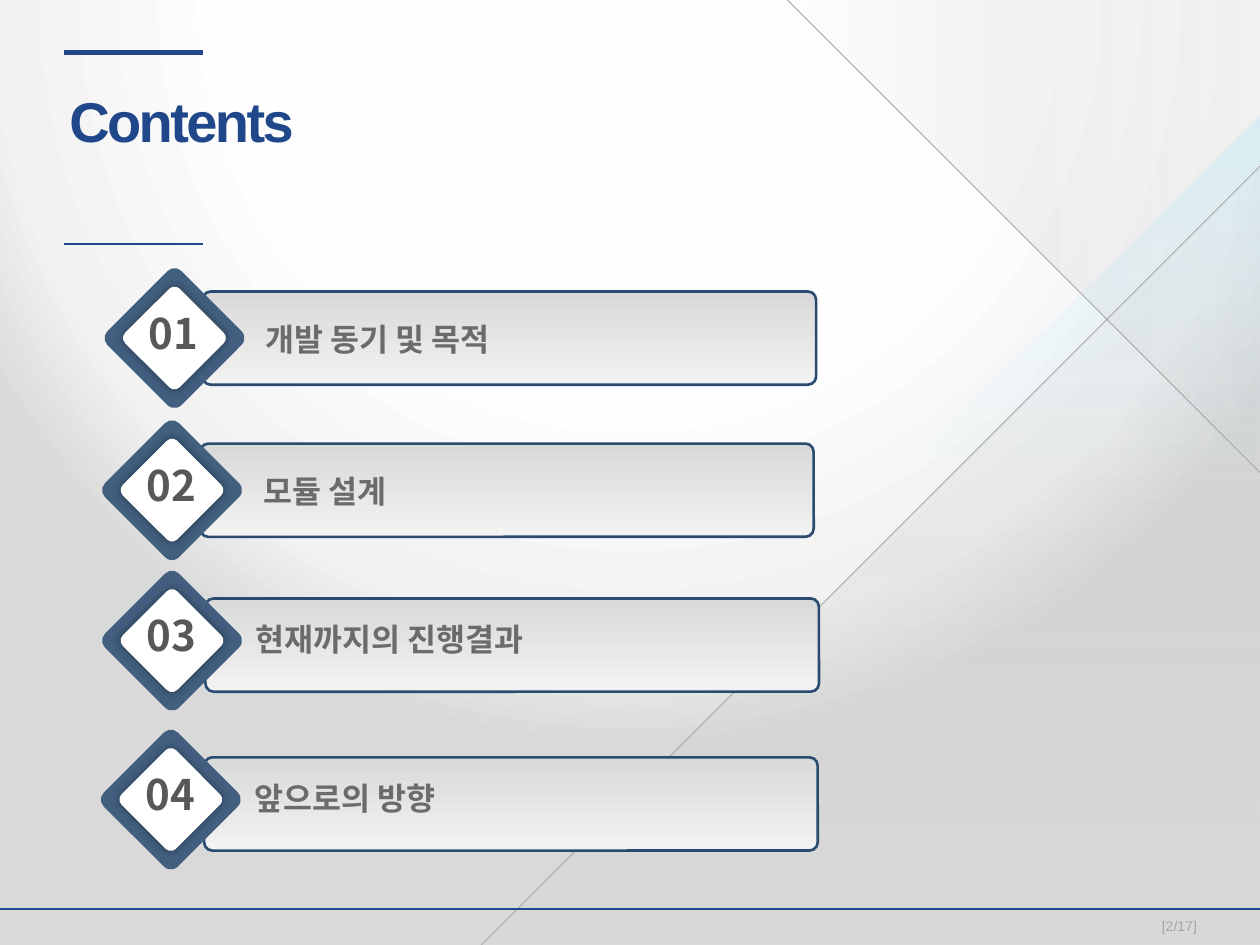
from lxml import etree
from pptx import Presentation
from pptx.dml.color import RGBColor
from pptx.enum.shapes import MSO_CONNECTOR, MSO_SHAPE
from pptx.enum.text import MSO_ANCHOR, MSO_AUTO_SIZE, PP_ALIGN
from pptx.oxml import parse_xml
from pptx.oxml.ns import nsdecls, qn
from pptx.util import Pt

WIDTH, HEIGHT = 720, 540
NAVY, GREY = "1F4789", "A6A6A6"
KOREAN = "Noto Sans CJK KR"


def color(hex_string):
    return RGBColor.from_string(hex_string)


def points(*lengths):
    return [Pt(length) for length in lengths]


def set_gradient(fill, element, stops, direction):
    """Stops are (position %, colour, opacity %); direction is an XML element."""
    fill.gradient()
    gradient = next(element.iter(qn("a:gradFill")))
    stop_xml = "".join(
        f'<a:gs pos="{position * 1000}"><a:srgbClr val="{hex_string}">'
        f'<a:alpha val="{opacity * 1000}"/></a:srgbClr></a:gs>'
        for position, hex_string, opacity in stops)
    gradient.getparent().replace(gradient, parse_xml(
        f'<a:gradFill {nsdecls("a")} rotWithShape="1"><a:gsLst>{stop_xml}</a:gsLst>'
        f'{direction}</a:gradFill>'))


def linear(degrees):
    return f'<a:lin ang="{degrees * 60000}" scaled="0"/>'


def add_line(slide, start, end, hex_string, width):
    line = slide.shapes.add_connector(
        MSO_CONNECTOR.STRAIGHT, *points(*start, *end))
    line.line.color.rgb = color(hex_string)
    line.line.width = Pt(width)
    etree.SubElement(line.element.spPr, qn("a:effectLst"))


def add_plain_shape(shapes, kind, box, rotation=0, fill=None, corner=None):
    shape = shapes.add_shape(kind, *points(*box))
    shape.rotation = rotation
    shape.shadow.inherit = False
    shape.line.fill.background()
    if fill:
        shape.fill.solid()
        shape.fill.fore_color.rgb = color(fill)
    else:
        shape.fill.background()
    if corner:
        shape.adjustments[0] = corner
    return shape


def set_text(shape, text, size, hex_string, font_name="Arial", bold=False,
             align=PP_ALIGN.LEFT, insets=(0, 0, 0, 0), wrap=True):
    frame = shape.text_frame
    frame.word_wrap = wrap
    frame.auto_size = MSO_AUTO_SIZE.NONE
    frame.vertical_anchor = MSO_ANCHOR.MIDDLE
    (frame.margin_left, frame.margin_top,
     frame.margin_right, frame.margin_bottom) = points(*insets)
    paragraph = frame.paragraphs[0]
    paragraph.text = text
    paragraph.alignment = align
    font = paragraph.font
    font.name, font.size, font.bold = font_name, Pt(size), bold
    font.color.rgb = color(hex_string)
    properties = next(paragraph._p.iter(qn("a:defRPr")))
    etree.SubElement(properties, qn("a:ea"), typeface=KOREAN)
    return properties


def add_backdrop(slide, width, height):
    set_gradient(
        slide.background.fill, slide.element,
        [(0, "FFFFFF", 100), (50, "FEFEFE", 100), (80, "F2F2F2", 100),
         (95, "D9D9D9", 100)],
        '<a:path path="circle"><a:fillToRect l="50000" t="-80000" '
        'r="50000" b="180000"/></a:path>')

    # Tinted corner at the lower right
    builder = slide.shapes.build_freeform(Pt(width), Pt(height))
    builder.add_line_segments([points(243.4, height), points(width, 66.2)])
    corner = builder.convert_to_shape()
    corner.shadow.inherit = False
    corner.line.fill.background()
    set_gradient(corner.fill, corner.element,
                 [(0, "BFBFBF", 0), (50, "D0F3FE", 0), (100, "A1E7FC", 30)],
                 linear(270))

    # Grey corner triangles, each with a line along its long side
    for side, top, rotation in ((445, height - 445, 270), (270, 0, 180)):
        left = width - side
        triangle = add_plain_shape(slide.shapes, MSO_SHAPE.RIGHT_TRIANGLE,
                                   (left, top, side, side), rotation)
        set_gradient(triangle.fill, triangle.element,
                     [(0, "BFBFBF", 0), (50, "BFBFBF", 20), (100, "BFBFBF", 0)],
                     linear(0))
    add_line(slide, (width - 445, height), (width, height - 445), GREY, 0.5)
    add_line(slide, (width - 270, 0), (width, 270), GREY, 0.5)


def add_heading(slide, left, top, width, height):
    title = slide.shapes.title
    title.left, title.top, title.width, title.height = points(
        left + 3, top + 13, 255, 51)
    properties = set_text(title, "Contents", 32, NAVY, bold=True)
    properties.set("spc", "-150")
    for y, weight in ((top, 3), (top + height, 1)):
        add_line(slide, (left, y), (left + width, y), NAVY, weight)


def add_footer(slide, left, top, width, height):
    add_line(slide, (left, top), (left + width, top), NAVY, 1)
    number = slide.shapes.add_textbox(
        *points(left + width - 92, top + 1.5, 92, height - 5))
    set_text(number, "[2/17]", 8, GREY, align=PP_ALIGN.CENTER)


def add_item(slide, left, top, number, label, bar_offset, label_offset):
    shapes = slide.shapes.add_group_shape().shapes

    # Bar
    bar = add_plain_shape(
        shapes, MSO_SHAPE.ROUNDED_RECTANGLE,
        (left + bar_offset[0], top + bar_offset[1], 350.6, 53.3), corner=0.088)
    set_gradient(bar.fill, bar.element,
                 [(1, "F2F2F2", 100), (99, "D9D9D9", 100)], linear(270))
    bar.line.color.rgb = color("2A4A70")
    bar.line.width = Pt(1.5)

    # Double diamond, the inner one with a soft shadow
    for inset, fill in ((0, "425F80"), (7.9, "FFFFFF")):
        side = 59.8 - 2 * inset
        diamond = add_plain_shape(
            shapes, MSO_SHAPE.ROUNDED_RECTANGLE,
            (left + inset, top + inset, side, side), 45, fill, 0.094)
    diamond.element.spPr.find(qn("a:effectLst")).append(parse_xml(
        f'<a:outerShdw {nsdecls("a")} blurRad="{Pt(5)}" dist="0" algn="ctr">'
        '<a:srgbClr val="000000"><a:alpha val="40000"/></a:srgbClr></a:outerShdw>'))

    # Number and label
    badge = add_plain_shape(shapes, MSO_SHAPE.OVAL,
                            (left + 8.6, top + 11.2, 41.8, 31))
    set_text(badge, number, 24, "585858", KOREAN, True, PP_ALIGN.CENTER,
             (7.2, 3.6, 7.2, 3.6), wrap=False)
    caption = shapes.add_textbox(
        *points(left + label_offset[0], top + label_offset[1], 384.5, 36.7))
    set_text(caption, label, 18, "6B6B6B", bold=True,
             insets=(8.6, 8.6, 11.5, 5.8))


def main():
    presentation = Presentation()
    presentation.slide_width, presentation.slide_height = points(WIDTH, HEIGHT)
    slide = presentation.slides.add_slide(presentation.slide_layouts[5])

    add_backdrop(slide, WIDTH, HEIGHT)
    add_heading(slide, 36.6, 30.2, 79.4, 109.3)
    add_footer(slide, 0, 519.6, WIDTH, 20.4)

    upper = ((46, 3.3), (73.4, 10.8))
    lower = ((49, 5.8), (69, 9.4))
    items = (
        (69.8, 163.3, "개발 동기 및 목적", upper),
        (68.4, 250.2, "모듈 설계", upper),
        (68.4, 336.2, "현재까지의 진행결과", lower),
        (67.7, 427, "앞으로의 방향", lower),
    )
    for index, (left, top, label, offsets) in enumerate(items, 1):
        add_item(slide, left, top, f"{index:02}", label, *offsets)

    presentation.save("out.pptx")


if __name__ == "__main__":
    main()
